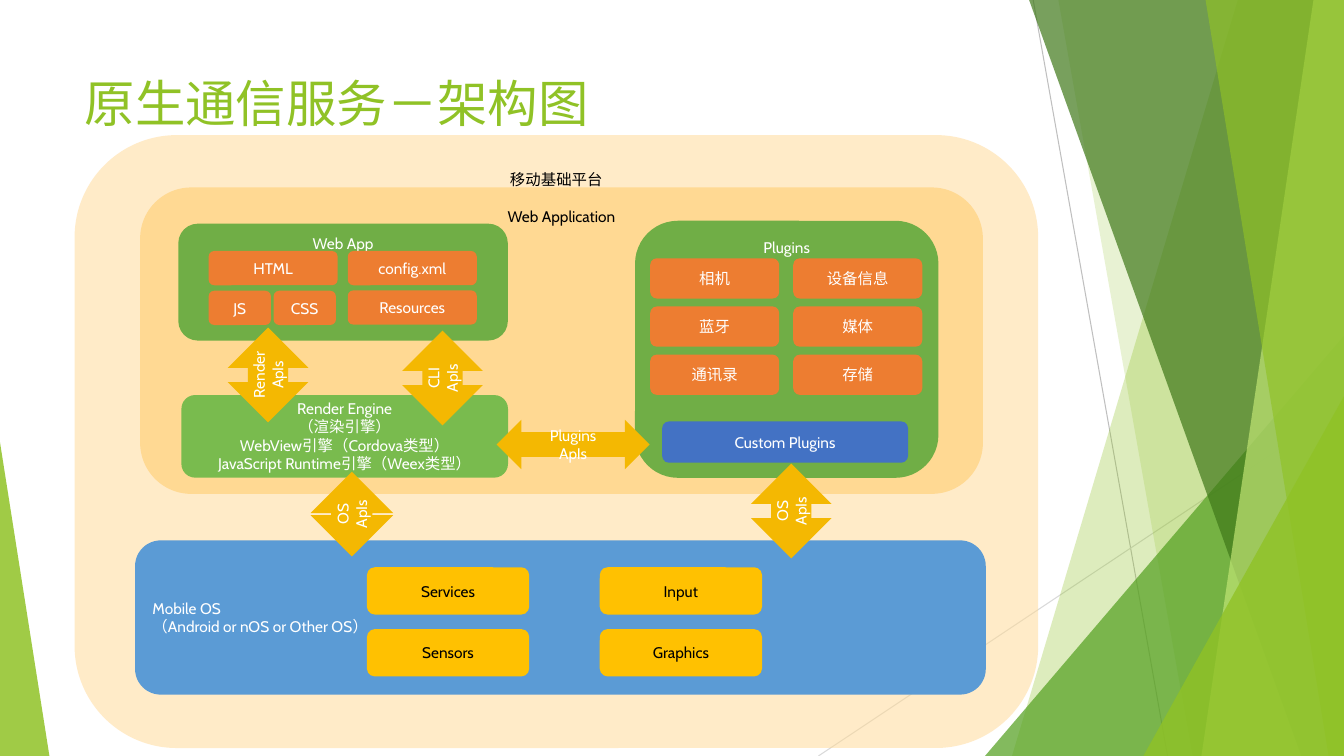
from itertools import product

from lxml import etree
from pptx import Presentation
from pptx.dml.color import RGBColor
from pptx.enum import shapes, text
from pptx.oxml.ns import qn
from pptx.util import Pt

WHITE = RGBColor(0xFF, 0xFF, 0xFF)
BLACK = RGBColor(0x00, 0x00, 0x00)
LIME = RGBColor(0x90, 0xC2, 0x26)
LEAF = RGBColor(0x54, 0xA0, 0x21)
FOREST = RGBColor(0x3F, 0x78, 0x19)
PALE_LIME = RGBColor(0xC0, 0xE4, 0x74)
GREY = RGBColor(0xBF, 0xBF, 0xBF)
LIGHT_GREY = RGBColor(0xD9, 0xD9, 0xD9)
SAND = RGBColor(0xFF, 0xD9, 0x93)
GREEN = RGBColor(0x70, 0xAE, 0x46)
LIGHT_GREEN = RGBColor(0x79, 0xBB, 0x4E)
ORANGE = RGBColor(0xED, 0x7D, 0x31)
INDIGO = RGBColor(0x43, 0x72, 0xC4)
BLUE = RGBColor(0x5B, 0x9B, 0xD5)
AMBER = RGBColor(0xFF, 0xC1, 0x01)
GOLD = RGBColor(0xF4, 0xB8, 0x02)

WIDTH, HEIGHT = 960, 540
KIND = shapes.MSO_SHAPE
ANCHOR = text.MSO_ANCHOR
ALIGN = text.PP_ALIGN


def write_text(frame, lines, size=11, color=WHITE, align=ALIGN.CENTER,
               anchor=ANCHOR.MIDDLE, inset=None, vertical=False):
    frame.word_wrap = True
    frame.auto_size = text.MSO_AUTO_SIZE.NONE
    frame.vertical_anchor = anchor
    if inset is not None:
        frame.margin_left = frame.margin_right = Pt(inset)
        frame.margin_top = frame.margin_bottom = Pt(inset)
    if vertical:
        frame._txBody.bodyPr.set("vert", "vert270")
    frame.text = "\n".join(lines)
    for paragraph in frame.paragraphs:
        paragraph.alignment = align
        paragraph.font.name = "Cabin"
        paragraph.font.size = Pt(size)
        paragraph.font.color.rgb = color


def paint(shape, fill, opacity=100):
    shape.shadow.inherit = False
    shape.line.fill.background()
    shape.fill.solid()
    shape.fill.fore_color.rgb = fill
    if opacity < 100:
        tone = next(shape._element.spPr.iter(qn("a:srgbClr")))
        etree.SubElement(tone, qn("a:alpha")).set("val", str(opacity * 1000))


def block(slide, box, fill, lines=(), kind=KIND.ROUNDED_RECTANGLE,
          opacity=100, **text_format):
    shape = slide.shapes.add_shape(kind, *map(Pt, box))
    paint(shape, fill, opacity)
    if lines:
        write_text(shape.text_frame, lines, **text_format)
    return shape


def tile_grid(slide, labels, origin, step, size, fill, **text_format):
    cells = product(range(len(labels) // 2), range(2))
    for label, (row, column) in zip(labels, cells):
        if label:
            place = (origin[0] + column * step[0], origin[1] + row * step[1])
            block(slide, (*place, *size), fill, [label], **text_format)


def backdrop(slide, box):
    left, top, width, height = box
    right, bottom = left + width, top + height

    def hairline(start, end, color):
        line = slide.shapes.add_connector(
            shapes.MSO_CONNECTOR.STRAIGHT, *map(Pt, (*start, *end)))
        line.line.color.rgb = color
        line.line.width = Pt(0.75)
        etree.SubElement(line._element.spPr, qn("a:effectLst"))

    def wedge(top_x, bottom_x, fill, opacity):
        outline = slide.shapes.build_freeform(
            Pt(left + top_x), Pt(top), scale=1.0)
        corners = [(right, top), (right, bottom), (left + bottom_x, bottom)]
        outline.add_line_segments(
            [(Pt(x), Pt(y)) for x, y in corners], close=True)
        paint(outline.convert_to_shape(), fill, opacity)

    def corner(x, rise, base, apex, fill, opacity):
        triangle = block(slide, (left + x, bottom - rise, base, rise), fill,
                         kind=KIND.ISOSCELES_TRIANGLE, opacity=opacity)
        triangle.adjustments[0] = apex

    hairline((left + 738, top), (left + 834, bottom), GREY)
    hairline((right, top + 290), (left + 584.6, bottom), LIGHT_GREY)
    wedge(884.2, 722.9, LIME, 30)
    wedge(756, 851.8, LIME, 20)
    corner(703.6, 300.2, 256.4, 1, LEAF, 72)
    wedge(735.1, 929.5, FOREST, 70)
    wedge(938.2, 858.2, PALE_LIME, 70)
    wedge(861.1, 949, LIME, 65)
    corner(816.7, 257, 143.3, 1, LIME, 80)
    corner(0, 224, 35.3, 0, LIME, 85)


def heading(slide, box):
    title = slide.shapes.title
    title.left, title.top, title.width, title.height = map(Pt, box)
    write_text(title.text_frame, ["原生通信服务－架构图"], size=36, color=LIME,
               align=ALIGN.LEFT, anchor=ANCHOR.TOP)


def platform(slide, box):
    left, top = box[:2]
    block(slide, box, SAND, ["移动基础平台"], opacity=50, color=BLACK,
          anchor=ANCHOR.TOP)
    block(slide, (left + 46.8, top + 37.4, 602, 218.9), SAND,
          ["Web Application"], color=BLACK, anchor=ANCHOR.TOP)


def web_app(slide, box):
    left, top = box[:2]
    block(slide, box, GREEN, ["Web App"], anchor=ANCHOR.TOP)
    tile_grid(slide, ["HTML", "config.xml", "", "Resources"],
              (left + 21.6, top + 19.5), (99.4, 28.1), (92.2, 24.5), ORANGE)
    tile_grid(slide, ["JS", "CSS"], (left + 21.6, top + 47.9), (46.4, 0),
              (44.6, 24.5), ORANGE)


def plugins(slide, box):
    left, top = box[:2]
    block(slide, box, GREEN, ["Plugins"], anchor=ANCHOR.TOP)
    tile_grid(slide, ["相机", "设备信息", "蓝牙", "媒体", "通讯录", "存储"],
              (left + 10.8, top + 26.8), (102.2, 34.4), (92.2, 28.8), ORANGE)
    block(slide, (left + 19.4, top + 143.3, 175.7, 29.5), INDIGO,
          ["Custom Plugins"])


def render_engine(slide, box):
    block(slide, box, LIGHT_GREEN,
          ["Render Engine", "（渲染引擎）", "WebView引擎（Cordova类型）",
           "JavaScript Runtime引擎（Weex类型）"],
          anchor=ANCHOR.TOP, inset=0)


def mobile_os(slide, box):
    left, top = box[:2]
    block(slide, box, BLUE, ["Mobile OS", "（Android or nOS or Other OS）"],
          align=ALIGN.LEFT)
    tile_grid(slide, ["Services", "Input", "Sensors", "Graphics"],
              (left + 165.6, top + 19.2), (166.3, 44.2), (115.9, 33.8),
              AMBER, color=BLACK)


def api_arrow(slide, box, caller, rotation=0):
    arrow = block(slide, box, GOLD, [caller, "ApIs"],
                  kind=KIND.UP_DOWN_ARROW, inset=0, vertical=True)
    arrow.rotation = rotation


def main():
    deck = Presentation()
    deck.slide_width, deck.slide_height = Pt(WIDTH), Pt(HEIGHT)
    slide = deck.slides.add_slide(deck.slide_layouts[5])
    backdrop(slide, (0, 0, WIDTH, HEIGHT))
    heading(slide, (53.3, 48.2, 676.8, 103.7))
    platform(slide, (53.3, 96.5, 688.3, 437.8))
    web_app(slide, (127.4, 159.8, 235.4, 83.5))
    plugins(slide, (453.6, 157.7, 216.7, 183.6))
    render_engine(slide, (129.6, 282.2, 233.3, 59))
    mobile_os(slide, (96.5, 386, 607.7, 110.2))
    api_arrow(slide, (162.7, 234, 57.6, 67.7), "Render")
    api_arrow(slide, (287.3, 236.2, 57.6, 67.7), "CLI")
    api_arrow(slide, (391.7, 262.8, 35.3, 109.4), "Plugins", rotation=90)
    api_arrow(slide, (221.8, 337, 59, 60.5), "OS")
    api_arrow(slide, (536.4, 331.2, 57.6, 67.7), "OS")
    deck.save("out.pptx")


if __name__ == "__main__":
    main()
